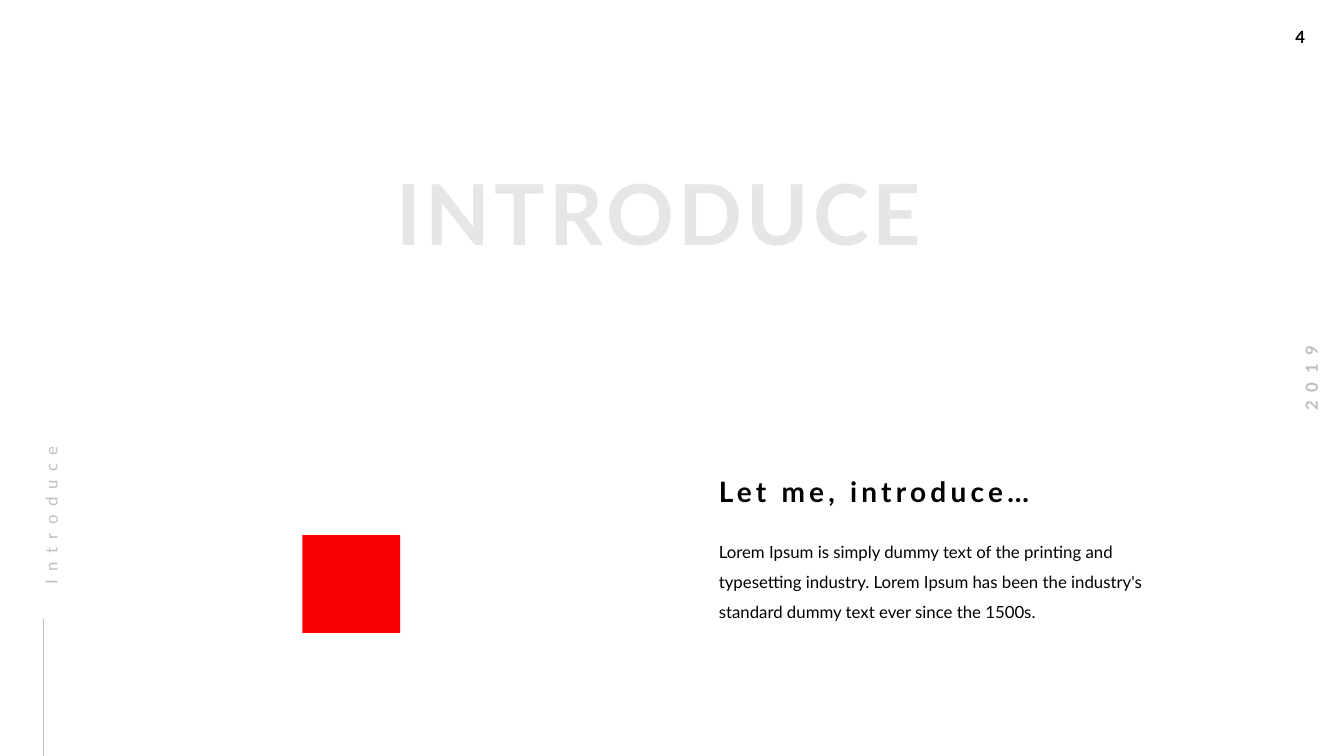
from dataclasses import dataclass
from typing import Optional

from lxml import etree
from pptx import Presentation
from pptx.dml.color import RGBColor
from pptx.enum.shapes import MSO_CONNECTOR, MSO_SHAPE
from pptx.enum.text import MSO_AUTO_SIZE, PP_ALIGN
from pptx.oxml.ns import qn
from pptx.slide import Slide
from pptx.util import Inches, Pt

STRAIGHT = MSO_CONNECTOR.STRAIGHT
RECTANGLE = MSO_SHAPE.RECTANGLE
GROW = MSO_AUTO_SIZE.SHAPE_TO_FIT_TEXT
LEFT, CENTER = PP_ALIGN.LEFT, PP_ALIGN.CENTER

BLACK = RGBColor(0x00, 0x00, 0x00)
GREY = RGBColor(0xBF, 0xBF, 0xBF)
PALE_GREY = RGBColor(0xE6, 0xE6, 0xE6)
RED = RGBColor(0xF8, 0x00, 0x01)

FONT = "Lato"
PADDED = (0.1, 0.05, 0.1, 0.05)
FLUSH = (0, 0, 0.1, 0)


@dataclass(frozen=True)
class Label:
    text: str
    left: float
    top: float
    width: float
    height: float
    size: float = 12
    color: RGBColor = BLACK
    bold: bool = False
    tracking: float = 0
    align: PP_ALIGN = LEFT
    rotation: float = 0
    wrap: bool = True
    insets: tuple[float, ...] = PADDED
    line_spacing: Optional[float] = None


LABELS = (
    # Page furniture
    Label("4", 12.75, 0.22, 0.41, 0.3, bold=True, wrap=False),
    Label("2019", 12.54, 3.6, 0.93, 0.3, color=GREY, bold=True, tracking=6,
          align=CENTER, rotation=270, wrap=False),
    Label("Introduce", -0.49, 4.74, 1.85, 0.26, color=GREY, tracking=6,
          rotation=270, insets=FLUSH, line_spacing=1.5),
    # Title and message
    Label("INTRODUCE", 3.54, 1.55, 6, 1.1, size=60, color=PALE_GREY, bold=True,
          tracking=3, align=CENTER),
    Label("Lorem Ipsum is simply dummy text of the printing and typesetting industry. "
          "Lorem Ipsum has been the industry's standard dummy text ever since the 1500s.",
          7.13, 5.27, 4.33, 0.87, insets=FLUSH, line_spacing=1.5),
    Label("Let me, introduce…", 7.13, 4.71, 3.5, 0.34, size=20, bold=True,
          tracking=3, insets=FLUSH),
)


def add_label(page: Slide, label: Label) -> None:
    box = page.shapes.add_textbox(Inches(label.left), Inches(label.top),
                                  Inches(label.width), Inches(label.height))
    box.rotation = label.rotation
    frame = box.text_frame
    frame.word_wrap = label.wrap
    frame.auto_size = GROW
    (frame.margin_left, frame.margin_top,
     frame.margin_right, frame.margin_bottom) = map(Inches, label.insets)
    para = frame.paragraphs[0]
    para.alignment = label.align
    if label.line_spacing:
        para.line_spacing = label.line_spacing
    span = para.add_run()
    span.text = label.text
    span.font.name = FONT
    span.font.size = Pt(label.size)
    span.font.bold = label.bold
    span.font.color.rgb = label.color
    if label.tracking:
        span.font._element.set("spc", str(round(label.tracking * 100)))


def add_margin_line(page: Slide) -> None:
    line = page.shapes.add_connector(STRAIGHT, Inches(0.43), Inches(7.5),
                                     Inches(0.43), Inches(6.14))
    line.line.color.rgb = GREY
    line.line.width = Pt(0.5)
    etree.SubElement(line._element.spPr, qn("a:effectLst"))


def add_red_square(page: Slide) -> None:
    square = page.shapes.add_shape(RECTANGLE, Inches(3), Inches(5.31),
                                   Inches(0.97), Inches(0.97))
    square.shadow.inherit = False
    square.fill.solid()
    square.fill.fore_color.rgb = RED
    square.line.fill.background()


def main() -> None:
    deck = Presentation()
    deck.slide_width, deck.slide_height = Inches(13.33), Inches(7.5)
    page = deck.slides.add_slide(deck.slide_layouts[6])
    add_margin_line(page)
    add_red_square(page)
    for label in LABELS:
        add_label(page, label)
    deck.save("out.pptx")


if __name__ == "__main__":
    main()
